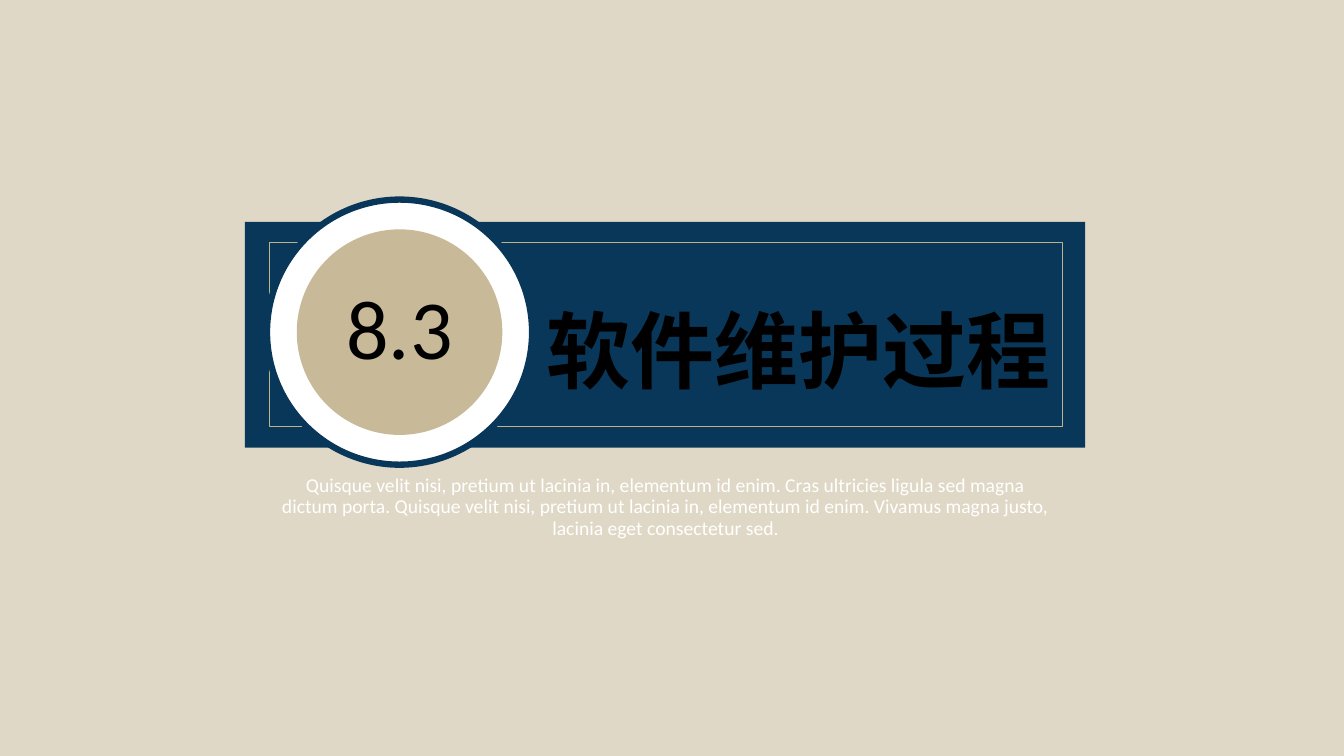
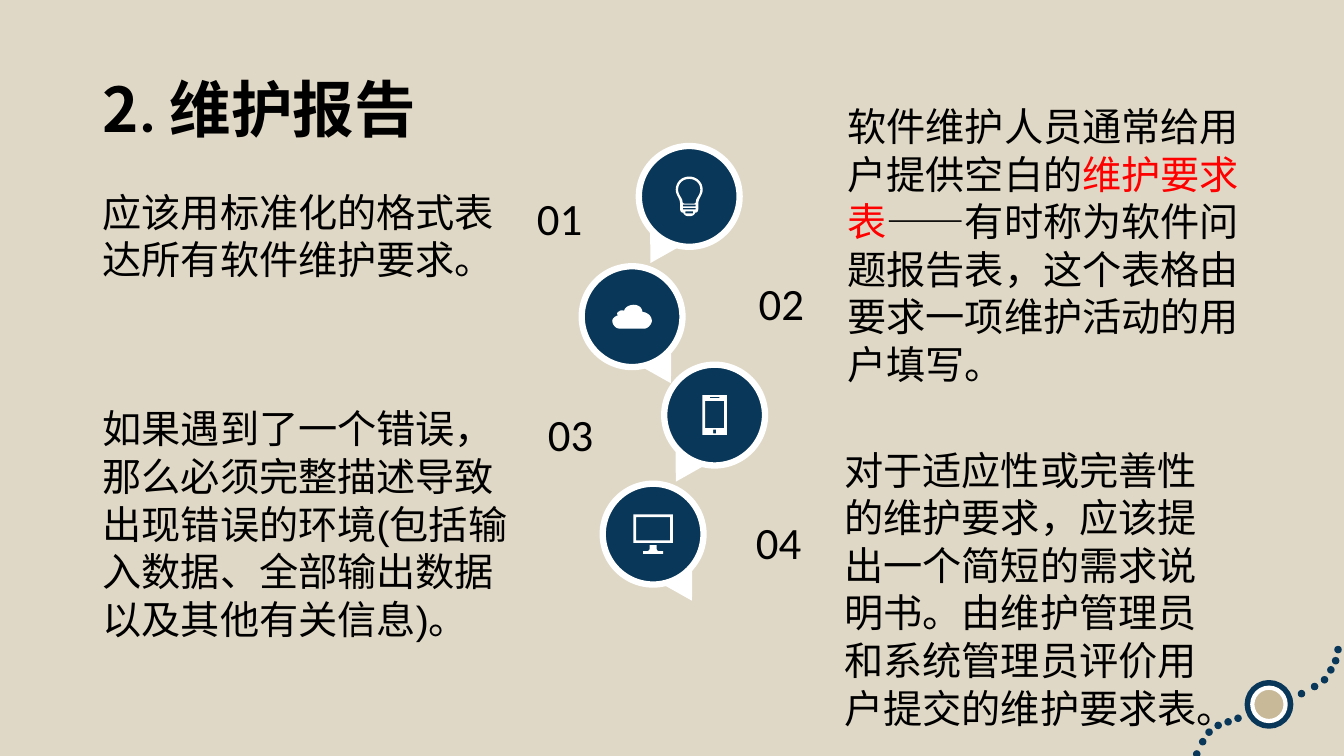
from dataclasses import dataclass

from lxml.etree import SubElement
from pptx import Presentation
from pptx.dml.color import RGBColor
from pptx.enum.shapes import MSO_SHAPE
from pptx.enum.text import MSO_ANCHOR, MSO_AUTO_SIZE, PP_ALIGN
from pptx.oxml.ns import qn
from pptx.util import Cm, Pt


@dataclass(frozen=True)
class Theme:
    background: str = "E0D8C6"
    navy: str = "093759"
    sand: str = "C8B998"
    frame: str = "BBB487"
    white: str = "FFFFFF"
    black: str = "000000"
    red: str = "FF0000"
    latin: str = "Calibri"
    body_font: str = "Arial"
    chinese: str = "Noto Sans CJK SC"
    section_size: int = 60
    title_size: int = 44
    number_size: int = 32
    body_size: int = 28
    caption_size: int = 14
    ring_width: float = 4.5


THEME = Theme()

# Icon outlines in cm from the bubble centre: a segment of two numbers is
# a straight line, one of six is a cubic curve.
BULB_GLASS = ((0, -0.5), (0.2, -0.5, 0.34, -0.35, 0.34, -0.17),
              (0.34, -0.03, 0.23, 0.04, 0.23, 0.18), (0.23, 0.3),
              (0.23, 0.38, 0.2, 0.41, 0.15, 0.41),
              (0.13, 0.47, 0.08, 0.5, 0, 0.5))
BULB_HOLLOW = ((0, -0.44), (0.16, -0.44, 0.28, -0.33, 0.28, -0.17),
               (0.28, -0.03, 0.17, 0.04, 0.17, 0.12),
               (0.17, 0.18, 0.14, 0.18, 0.1, 0.18), (0, 0.18))
CLOUD = ((-0.36, -0.03), (-0.36, -0.03, -0.48, 0, -0.5, 0.1),
         (-0.5, 0.2, -0.41, 0.3, -0.33, 0.3), (0.33, 0.3),
         (0.38, 0.3, 0.5, 0.2, 0.5, 0.1),
         (0.48, -0.1, 0.27, -0.12, 0.26, -0.12),
         (0.26, -0.12, 0.26, -0.3, 0.03, -0.3),
         (-0.18, -0.28, -0.2, -0.15, -0.2, -0.15),
         (-0.2, -0.15, -0.28, -0.18, -0.33, -0.13),
         (-0.41, -0.1, -0.36, -0.03, -0.36, -0.03))
STAND = ((0, 0.28), (0.09, 0.28), (0.09, 0.38),
         (0.1, 0.43, 0.15, 0.43, 0.18, 0.43),
         (0.25, 0.43), (0.25, 0.5), (0, 0.5))

# Centres of the dotted trail in the corner
TRAIL = ((30.16, 19), (30.31, 18.69), (30.47, 18.45), (30.7, 18.28),
         (30.95, 18.19), (31.2, 18.1), (32.8, 17.48), (33.13, 17.3),
         (33.38, 17.13), (33.54, 16.88), (33.66, 16.65), (33.72, 16.37))


# Text
def write_text(shape, text, size=THEME.body_size, font=THEME.latin,
               color=THEME.black, bold=False, align=PP_ALIGN.LEFT,
               anchor=MSO_ANCHOR.TOP, spacing=None, before=0):
    """Write a string, or a list of (text, overrides) runs, as one paragraph."""
    frame = shape.text_frame
    frame.word_wrap = True
    frame.auto_size = MSO_AUTO_SIZE.NONE
    frame.vertical_anchor = anchor
    paragraph = frame.paragraphs[0]
    paragraph.alignment = align
    paragraph.space_before = Pt(before)
    if spacing:
        paragraph.line_spacing = spacing
    runs = [(text, {})] if isinstance(text, str) else text
    for content, overrides in runs:
        run = paragraph.add_run()
        run.text = content
        run.font.size = Pt(size)
        run.font.bold = bold
        run.font.name = overrides.get("font", font)
        run.font.color.rgb = RGBColor.from_string(overrides.get("color", color))
        east_asian = SubElement(run.font.fill._xPr, qn("a:ea"))
        east_asian.set("typeface", THEME.chinese)


def add_text(slide, box, text, **text_format):
    shape = slide.shapes.add_textbox(*map(Cm, box))
    write_text(shape, text, **text_format)


def fill_placeholder(placeholder, box, text, **text_format):
    """Move a placeholder in front of the shapes drawn so far and fill it."""
    placeholder.left, placeholder.top, placeholder.width, placeholder.height = map(Cm, box)
    placeholder.element.getparent().append(placeholder.element)
    write_text(placeholder, text, **text_format)


# Shapes
def paint(shape, fill=None, line=None, line_width=1):
    shape.shadow.inherit = False
    if fill:
        shape.fill.solid()
        shape.fill.fore_color.rgb = RGBColor.from_string(fill)
    else:
        shape.fill.background()
    if line:
        shape.line.color.rgb = RGBColor.from_string(line)
        shape.line.width = Pt(line_width)
    else:
        shape.line.fill.background()


def add_box(slide, box, kind=MSO_SHAPE.RECTANGLE, rotation=0, **colors):
    shape = slide.shapes.add_shape(kind, *map(Cm, box))
    shape.rotation = rotation
    paint(shape, **colors)
    return shape


def add_circle(slide, center, diameter, **colors):
    x, y = center
    box = (x - diameter / 2, y - diameter / 2, diameter, diameter)
    return add_box(slide, box, MSO_SHAPE.OVAL, **colors)


def add_ring(slide, center, outer, inner, **inner_line):
    add_circle(slide, center, outer, fill=THEME.white, line=THEME.navy,
               line_width=THEME.ring_width)
    return add_circle(slide, center, inner, fill=THEME.sand, **inner_line)


# Icons
def outline(segments, steps=8):
    points = [segments[0]]
    for segment in segments[1:]:
        if len(segment) == 2:
            points.append(segment)
            continue
        x0, y0 = points[-1]
        x1, y1, x2, y2, x3, y3 = segment
        for step in range(1, steps + 1):
            t = step / steps
            a, b, c, d = (1 - t) ** 3, 3 * t * (1 - t) ** 2, 3 * t * t * (1 - t), t ** 3
            points.append((a * x0 + b * x1 + c * x2 + d * x3,
                           a * y0 + b * y1 + c * y2 + d * y3))
    return points


def mirrored(segments):
    right = outline(segments)
    return right + [(-x, y) for x, y in reversed(right)]


def rectangle(left, top, right, bottom):
    return [(left, top), (right, top), (right, bottom), (left, bottom)]


def icon_contours():
    bulb = [mirrored(BULB_GLASS), mirrored(BULB_HOLLOW),
            rectangle(-0.16, 0.21, 0.16, 0.25),
            rectangle(-0.16, 0.29, 0.16, 0.33),
            rectangle(-0.1, 0.38, 0.1, 0.43)]
    phone = [rectangle(-0.31, -0.5, 0.31, 0.5),
             rectangle(-0.24, -0.36, 0.24, 0.33),
             rectangle(-0.12, -0.46, 0.12, -0.43),
             rectangle(-0.04, 0.37, 0.04, 0.46)]
    monitor = [rectangle(-0.5, -0.5, 0.5, 0.22),
               rectangle(-0.43, -0.43, 0.43, 0.16), mirrored(STAND)]
    return bulb, [outline(CLOUD)], phone, monitor


def add_icon(slide, center, contours):
    def place(point):
        return Cm(center[0] + point[0]), Cm(center[1] + point[1])

    builder = slide.shapes.build_freeform(*place(contours[0][0]))
    for index, contour in enumerate(contours):
        if index:
            builder.move_to(*place(contour[0]))
        builder.add_line_segments([place(point) for point in contour[1:]], close=True)
    paint(builder.convert_to_shape(), fill=THEME.white)


def add_bubble(slide, center, tail_side, contours):
    """Draw a round bubble; tail_side is -1 for a tail at left, 1 at right."""
    x, y = center
    width, height = 0.84, 0.71
    add_circle(slide, center, 2.54, fill=THEME.navy, line=THEME.white,
               line_width=THEME.ring_width)
    tail = (x + tail_side * 0.8 - width / 2, y + 1.37 - height / 2, width, height)
    add_box(slide, tail, MSO_SHAPE.ISOSCELES_TRIANGLE,
            rotation=180 - tail_side * 30, fill=THEME.white)
    add_icon(slide, center, contours)


# Slides
def build_section(presentation):
    slide = presentation.slides.add_slide(presentation.slide_layouts[0])
    add_box(slide, (6.17, 5.59, 21.18, 5.69), fill=THEME.navy)
    add_box(slide, (6.78, 6.1, 19.99, 4.65), line=THEME.frame, line_width=0.5)
    disc = add_ring(slide, (10.07, 8.37), 6.68, 5.18)
    write_text(disc, "8.3", size=THEME.section_size, align=PP_ALIGN.CENTER,
               anchor=MSO_ANCHOR.MIDDLE, spacing=0.9)
    fill_placeholder(
        slide.placeholders[1], (6.78, 11.86, 19.99, 4.17),
        "Quisque velit nisi, pretium ut lacinia in, elementum id enim. "
        "Cras ultricies ligula sed magna dictum porta. Quisque velit nisi, "
        "pretium ut lacinia in, elementum id enim. Vivamus magna justo, "
        "lacinia eget consectetur sed.",
        size=THEME.caption_size, color=THEME.white, align=PP_ALIGN.CENTER,
        spacing=0.9, before=10)
    fill_placeholder(slide.shapes.title, (13.46, 7.19, 13.31, 3.53), "软件维护过程",
                     size=THEME.section_size, bold=True, align=PP_ALIGN.CENTER,
                     anchor=MSO_ANCHOR.MIDDLE, spacing=0.9)


def build_report(presentation):
    slide = presentation.slides.add_slide(presentation.slide_layouts[5])
    # Corner ornament
    for center in TRAIL:
        add_circle(slide, center, 0.19, fill=THEME.navy)
    add_ring(slide, (31.98, 17.75), 1.07, 0.84, line=THEME.white, line_width=3)

    fill_placeholder(slide.shapes.title, (2.34, 0.99, 29.21, 3.68),
                     [("2", {"font": THEME.chinese}), (". 维护报告", {})],
                     size=THEME.title_size, bold=True,
                     anchor=MSO_ANCHOR.MIDDLE, spacing=0.9)

    # Chain of bubbles
    centers = ((17.37, 4.95), (15.93, 7.98), (18.01, 10.46), (16.46, 13.46))
    for index, (center, contours) in enumerate(zip(centers, icon_contours())):
        add_bubble(slide, center, 1 if index % 2 else -1, contours)

    # Numbered explanations: number position, text box, text
    items = (
        ((13.28, 4.67), (2.34, 4.6, 10.45, 2.64),
         "应该用标准化的格式表达所有软件维护要求。"),
        ((18.87, 6.83), (21.11, 2.44, 10.52, 7.44),
         [("软件维护人员通常给用户提供空白的", {}),
          ("维护要求表", {"color": THEME.red}),
          ("——有时称为软件问题报告表，这个表格由要求一项维护活动的用户填写。", {})]),
        ((13.56, 10.13), (2.34, 10.06, 10.72, 6.25),
         "如果遇到了一个错误，那么必须完整描述导致出现错误的环境"
         "(包括输入数据、全部输出数据以及其他有关信息)。"),
        ((18.8, 12.85), (21.03, 11.1, 10.13, 7.44),
         "对于适应性或完善性的维护要求，应该提出一个简短的需求说明书。"
         "由维护管理员和系统管理员评价用户提交的维护要求表。"),
    )
    for number, (position, box, text) in enumerate(items, start=1):
        add_text(slide, (*position, 2.24, 1.63), f"{number:02}", size=THEME.number_size)
        add_text(slide, box, text, font=THEME.body_font, spacing=Pt(34))


def main():
    presentation = Presentation()
    presentation.slide_width, presentation.slide_height = Cm(33.87), Cm(19.05)
    background = presentation.slide_master.background.fill
    background.solid()
    background.fore_color.rgb = RGBColor.from_string(THEME.background)
    build_section(presentation)
    build_report(presentation)
    presentation.save("out.pptx")


if __name__ == "__main__":
    main()
